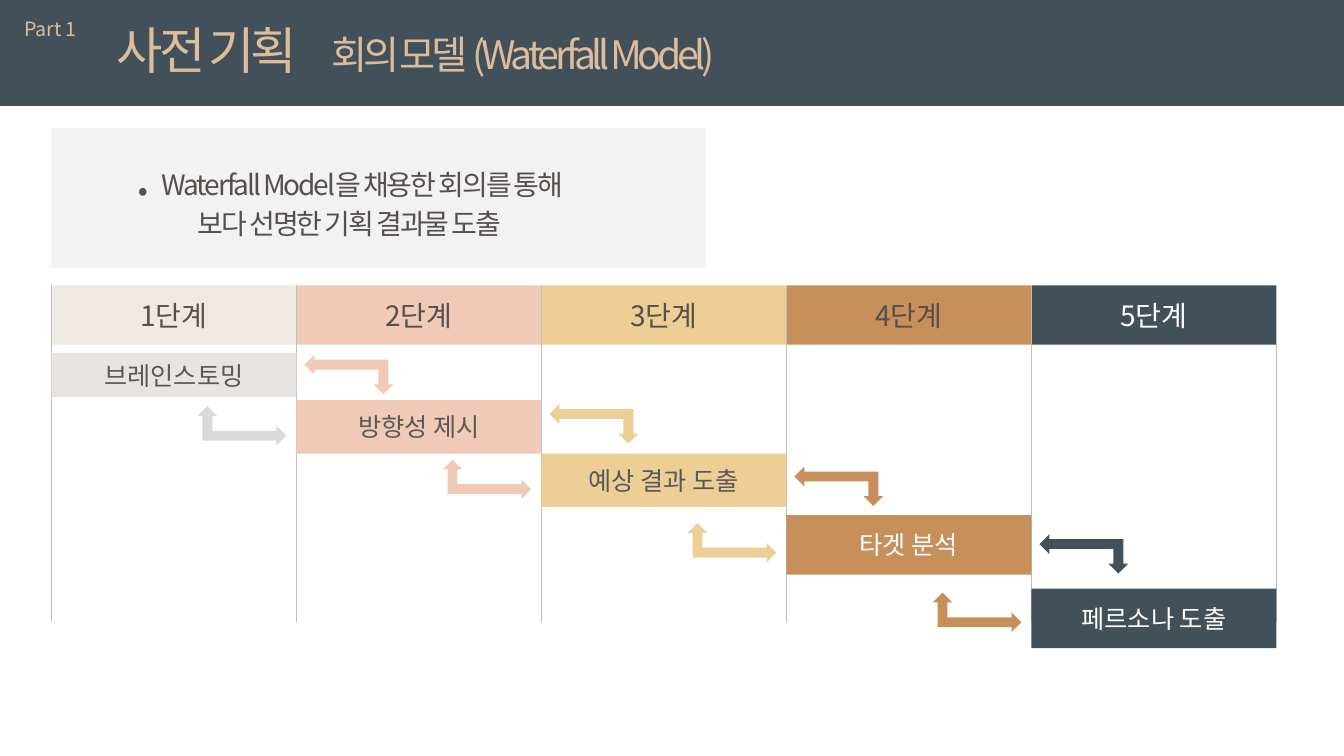
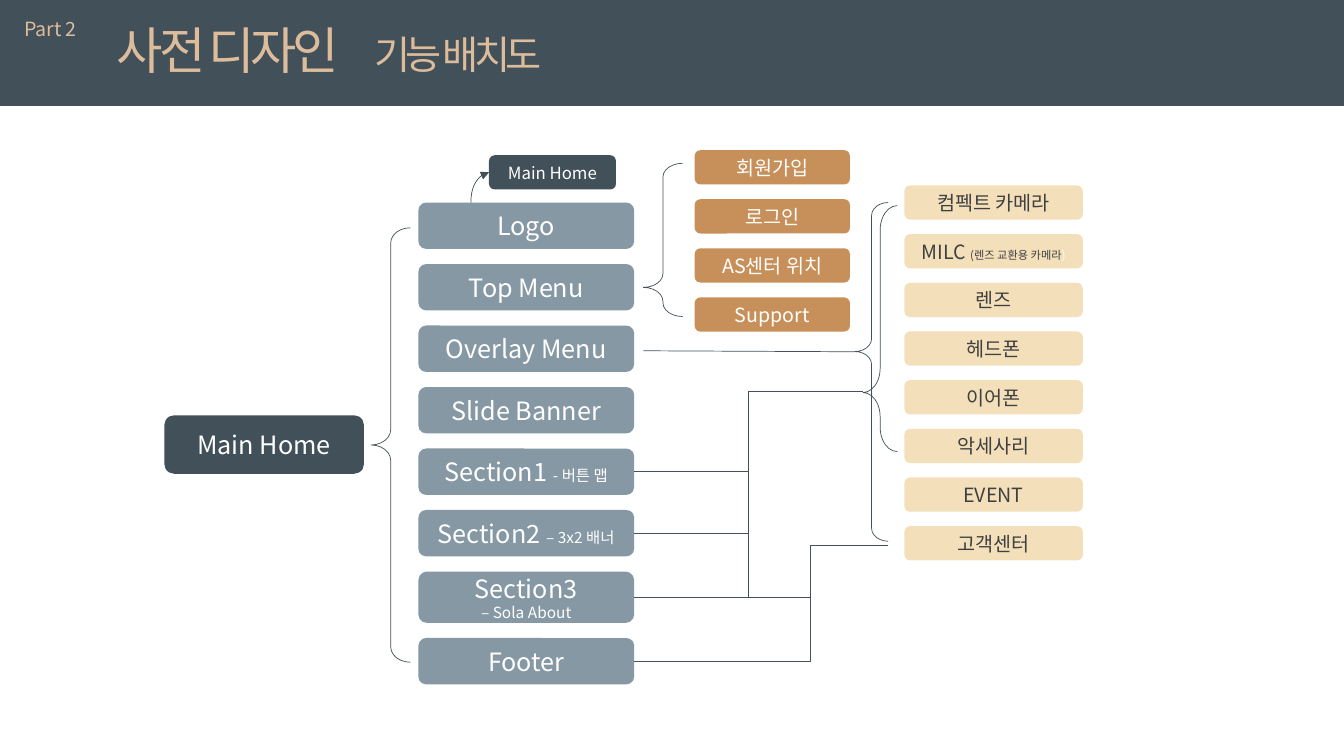
from lxml import etree
from pptx import Presentation
from pptx.dml.color import RGBColor
from pptx.enum.shapes import MSO_CONNECTOR, MSO_SHAPE
from pptx.enum.text import MSO_ANCHOR, MSO_AUTO_SIZE, PP_ALIGN
from pptx.oxml.ns import qn
from pptx.util import Inches, Pt

RECT, ROUND = MSO_SHAPE.RECTANGLE, MSO_SHAPE.ROUNDED_RECTANGLE
BRACE, TURN = MSO_SHAPE.LEFT_BRACE, MSO_SHAPE.LEFT_UP_ARROW
STRAIGHT, ELBOW, CURVE = MSO_CONNECTOR.STRAIGHT, MSO_CONNECTOR.ELBOW, MSO_CONNECTOR.CURVE
LEFT, CENTER = PP_ALIGN.LEFT, PP_ALIGN.CENTER
TOP, MIDDLE = MSO_ANCHOR.TOP, MSO_ANCHOR.MIDDLE
FIT, FIXED = MSO_AUTO_SIZE.SHAPE_TO_FIT_TEXT, MSO_AUTO_SIZE.NONE
RIGHT_SIDE = 3

FONT = "Noto Sans CJK KR"
NAVY = RGBColor(0x42, 0x50, 0x59)
GOLD = RGBColor(0xDD, 0xBC, 0x9C)
IVORY = RGBColor(0xEE, 0xE9, 0xE2)
PINK = RGBColor(0xF0, 0xCA, 0xB6)
YELLOW = RGBColor(0xED, 0xCE, 0x95)
BROWN = RGBColor(0xC7, 0x90, 0x5A)
STEEL = RGBColor(0x85, 0x98, 0xA4)
CREAM = RGBColor(0xF3, 0xDF, 0xBA)
PEARL = RGBColor(0xE7, 0xE4, 0xE1)
PALE = RGBColor(0xF2, 0xF2, 0xF2)
SILVER = RGBColor(0xD9, 0xD9, 0xD9)
RULE = RGBColor(0xBF, 0xBF, 0xBF)
WHITE = RGBColor(0xFF, 0xFF, 0xFF)
TAUPE = RGBColor(0x55, 0x4F, 0x4D)
GRAY = RGBColor(0x59, 0x59, 0x59)
INK = RGBColor(0x40, 0x40, 0x40)


def write(shape, lines, color, align=CENTER, gap=0, **frame):
    """Fill a shape with lines of (text, size[, color]) runs; gap is letter spacing in points."""
    text = shape.text_frame
    for key, value in frame.items():
        setattr(text, key, value)
    for i, runs in enumerate(lines):
        para = text.add_paragraph() if i else text.paragraphs[0]
        para.alignment = align
        for words, size, *own in runs:
            run = para.add_run()
            run.text = words
            for key, value in {"size": Pt(size), "name": FONT, "bold": False}.items():
                setattr(run.font, key, value)
            run.font.color.rgb = own[0] if own else color
            props = run._r.get_or_add_rPr()
            etree.SubElement(props, qn("a:ea")).set("typeface", FONT)
            if gap:
                props.set("spc", str(int(gap * 100)))


def block(slide, kind, at, fill, lines=(), color=WHITE):
    """Add a flat filled shape with centred text."""
    shape = slide.shapes.add_shape(kind, *map(Inches, at))
    shape.shadow.inherit = False
    shape.fill.solid()
    shape.fill.fore_color.rgb = fill
    shape.line.fill.background()
    if lines:
        write(shape, lines, color, vertical_anchor=MIDDLE, word_wrap=True,
              margin_left=0, margin_right=0, margin_top=0, margin_bottom=0)
    return shape


deck = Presentation()
deck.slide_width, deck.slide_height = Inches(13.33), Inches(7.5)

# Shared band, part label and title
heads = [
    ("Part 1", "사전 기획", "회의 모델 (Waterfall Model)", 2.13),
    ("Part 2", "사전 디자인", "기능 배치도", 2.55),
]
slides = []
for part, main, sub, stop in heads:
    slide = deck.slides.add_slide(deck.slide_layouts[5])
    band = block(slide, RECT, (0, 0, 13.33, 1.05), NAVY)
    slide.shapes._spTree.insert(2, band._element)
    label = slide.shapes.add_textbox(*map(Inches, (0.14, 0.12, 0.73, 0.34)))
    write(label, [[(part, 14)]], GOLD, LEFT, word_wrap=False, auto_size=FIT)
    title = slide.shapes.title
    title.left, title.top, title.width, title.height = map(Inches, (1.06, 0.14, 7.25, 0.71))
    write(title, [[(main + "\t", 36), (sub, 28)]], GOLD, LEFT, -3,
          vertical_anchor=TOP, word_wrap=True, auto_size=FIXED)
    tabs = etree.SubElement(title.text_frame.paragraphs[0]._p.get_or_add_pPr(), qn("a:tabLst"))
    tab = etree.SubElement(tabs, qn("a:tab"))
    tab.set("pos", str(Inches(stop)))
    tab.set("algn", "l")
    slides.append(slide)
model, layout = slides

# Slide 1: steps of the waterfall
block(model, RECT, (0.51, 1.27, 6.49, 1.39), PALE)
lead = model.shapes.add_textbox(*map(Inches, (1.14, 1.33, 4.65, 1.11)))
write(lead, [[(". ", 40), ("Waterfall Model을 채용한 회의를 통해", 20)],
             [("보다 선명한 기획 결과물 도출", 20)]],
      TAUPE, gap=-1.5, word_wrap=False, auto_size=FIT)

# name, head fill, head text, bar fill, bar text, bar top, bar height
steps = [
    ("브레인스토밍", IVORY, TAUPE, PEARL, GRAY, 3.5, 0.44),
    ("방향성 제시", PINK, TAUPE, PINK, GRAY, 3.97, 0.53),
    ("예상 결과 도출", YELLOW, TAUPE, YELLOW, GRAY, 4.5, 0.53),
    ("타겟 분석", BROWN, TAUPE, BROWN, WHITE, 5.11, 0.59),
    ("페르소나 도출", NAVY, WHITE, NAVY, WHITE, 5.84, 0.59),
]
START, STEP = 0.51, 2.43
for i, (name, fill, color, *_) in enumerate(steps):
    block(model, RECT, (START + i * STEP, 2.83, STEP, 0.59), fill,
          [[(f"{i + 1}단계", 20)]], color)
links = []
for i in range(len(steps) + 1):
    x = Inches(START + i * STEP)
    links.append((model.shapes.add_connector(STRAIGHT, x, Inches(2.83), x, Inches(6.17)), RULE))
for i, (name, _, _, fill, color, top, high) in enumerate(steps):
    block(model, RECT, (START + i * STEP, top, STEP, high), fill, [[(name, 18)]], color)

# Arrows down to the next step and back: tops of each pair
pairs = [(4.03, 3.52), (4.56, 4.01), (5.19, 4.63), (5.88, 5.3)]
for i, (down, back) in enumerate(pairs):
    edge = START + (i + 1) * STEP
    tint = steps[i][1] if i else SILVER
    for x, y, fill, flip in ((edge - 0.98, down, tint, "flipH"),
                             (edge + 0.08, back, steps[i + 1][1], "flipV")):
        arrow = block(model, TURN, (x, y, 0.88, 0.39), fill)
        arrow._element.spPr.get_or_add_xfrm().set(flip, "1")

# Slide 2: site map
block(layout, ROUND, (1.63, 4.12, 1.98, 0.58), NAVY, [[("Main Home", 18)]])
block(layout, ROUND, (4.85, 1.54, 1.26, 0.34), NAVY, [[("Main Home", 12)]])

menu = [
    [[("Logo", 18)]],
    [[("Top Menu", 18)]],
    [[("Overlay Menu", 18)]],
    [[("Slide Banner", 18)]],
    [[("Section1 ", 18), ("- 버튼 맵", 11)]],
    [[("Section2 ", 18), ("– 3x2 배너", 11)]],
    [[("Section3", 18)], [("– Sola About", 11)]],
    [[("Footer", 18)]],
]
rows, y = [], 2.01
for lines in menu:
    high = 0.46 if len(lines) == 1 else 0.51
    rows.append(block(layout, ROUND, (4.15, y, 2.14, high), STEEL, lines))
    y += high + 0.15

member = ["회원가입", "로그인", "AS센터 위치", "Support"]
goods = ["컴펙트 카메라", "MILC ", "렌즈", "헤드폰", "이어폰", "악세사리", "EVENT", "고객센터"]
extra = {"MILC ": [("(렌즈 교환용 카메라", 8), (")", 8, WHITE)]}
for names, x, first, last, wide, fill, color in (
        (member, 6.89, 1.49, 2.95, 1.54, BROWN, WHITE),
        (goods, 8.97, 1.84, 5.22, 1.77, CREAM, INK)):
    pitch = (last - first) / (len(names) - 1)
    for i, name in enumerate(names):
        block(layout, ROUND, (x, first + i * pitch, wide, 0.34), fill,
              [[(name, 14)] + extra.get(name, [])], color)

# Braces: place, curl, point
for at, curl, point in (
        ((3.68, 2.26, 0.39, 4.31), 0.39, 0.5),
        ((6.38, 1.62, 0.39, 1.52), 0.35, 0.81),
        ((8.48, 2.01, 0.33, 3.36), 0.39, 0.44),
        ((8.56, 2.04, 0.34, 2.44), 0.71, 0.76)):
    brace = block(layout, BRACE, at, WHITE)
    brace.fill.background()
    brace.adjustments[0], brace.adjustments[1] = curl, point
    brace.line.color.rgb, brace.line.width = NAVY, Pt(0.5)

# Elbows: menu row, bend, end
for row, bend, x, y in ((4, 7.42, 8.56, 3.88), (5, 7.42, 8.56, 3.88), (6, 7.42, 8.56, 3.88),
                        (6, 8.04, 8.81, 5.41), (7, 8.04, 8.81, 5.41)):
    box = rows[row]
    begin = box.left + box.width
    link = layout.shapes.add_connector(ELBOW, begin, box.top + box.height // 2,
                                       Inches(x), Inches(y))
    link.begin_connect(box, RIGHT_SIDE)
    guide = etree.SubElement(link._element.spPr.prstGeom.get_or_add_avLst(), qn("a:gd"))
    guide.set("name", "adj1")
    share = (Inches(bend) - begin) / (Inches(x) - begin)
    guide.set("fmla", f"val {round(share * 100000)}")
    links.append((link, NAVY))

links.append((layout.shapes.add_connector(
    STRAIGHT, *map(Inches, (6.38, 3.48, 8.48, 3.49))), NAVY))
hook = layout.shapes.add_connector(CURVE, *map(Inches, (4.91, 1.95, 4.61, 1.77)))
hook._element.spPr.prstGeom.set("prst", "curvedConnector2")
hook._element.spPr.get_or_add_xfrm().set("rot", "5400000")
links.append((hook, NAVY))

for link, color in links:
    link.line.color.rgb, link.line.width = color, Pt(0.5)
    etree.SubElement(link._element.spPr, qn("a:effectLst"))
etree.SubElement(hook.line._get_or_add_ln(), qn("a:tailEnd")).set("type", "triangle")

deck.save("out.pptx")
